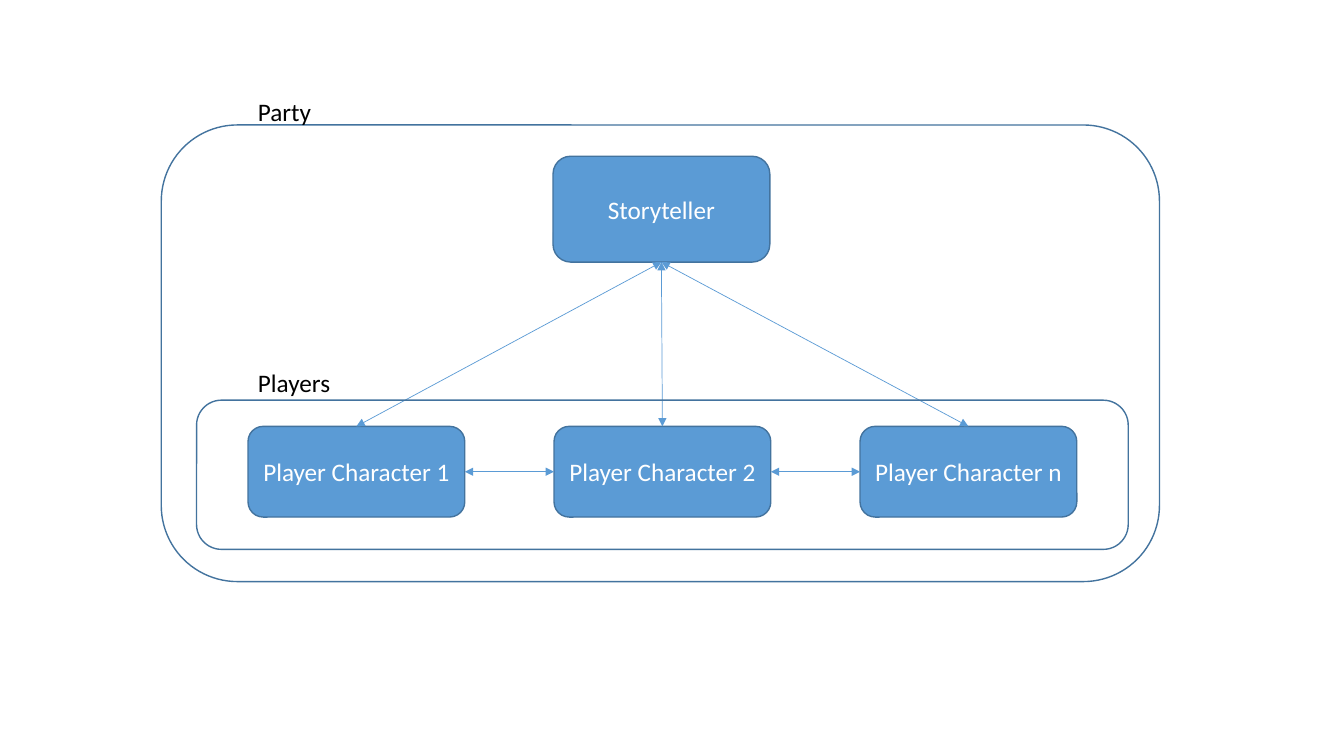
import pptx
import pptx.util
import pptx.dml.color
import pptx.enum.shapes
import pptx.enum.text
import pptx.oxml.ns
from lxml import etree

Inches = pptx.util.Inches
Pt = pptx.util.Pt
BLUE, EDGE, WHITE, BLACK = "5B9BD5", "43739E", "FFFFFF", "000000"


def rgb(value):
    """Turn a hex string into a colour."""
    return pptx.dml.color.RGBColor.from_string(value)


def add_run(p, text, color):
    """Add one run of 18 point Calibri."""
    r = p.add_run()
    r.text = text
    r.font.name = "Calibri"
    r.font.size = Pt(18)
    r.font.color.rgb = rgb(color)


def add_rounded(s, x, y, w, h, fill=None):
    """Add an outlined rounded rectangle, filled if a colour is given."""
    kind = pptx.enum.shapes.MSO_SHAPE.ROUNDED_RECTANGLE
    sp = s.shapes.add_shape(kind, Inches(x), Inches(y), Inches(w), Inches(h))
    sp.shadow.inherit = False
    sp.line.color.rgb = rgb(EDGE)
    sp.line.width = Pt(1)
    if fill:
        sp.fill.solid()
        sp.fill.fore_color.rgb = rgb(fill)
    else:
        sp.fill.background()
    return sp


def add_role(s, text, x, y, w, h):
    """Add a blue box with a centred role name."""
    sp = add_rounded(s, x, y, w, h, BLUE)
    tf = sp.text_frame
    tf.word_wrap = True
    tf.vertical_anchor = pptx.enum.text.MSO_ANCHOR.MIDDLE
    p = tf.paragraphs[0]
    p.alignment = pptx.enum.text.PP_ALIGN.CENTER
    add_run(p, text, WHITE)
    return sp


def add_link(s, start, start_site, end, end_site):
    """Join two boxes with a double-headed arrow."""
    kind = pptx.enum.shapes.MSO_CONNECTOR.STRAIGHT
    cxn = s.shapes.add_connector(kind, 0, 0, 0, 0)
    cxn.begin_connect(start, start_site)
    cxn.end_connect(end, end_site)
    cxn.line.color.rgb = rgb(BLUE)
    cxn.line.width = Pt(0.5)
    ln = cxn.line._get_or_add_ln()
    for tag in ("a:headEnd", "a:tailEnd"):
        etree.SubElement(ln, pptx.oxml.ns.qn(tag), type="triangle")
    etree.SubElement(cxn._element.spPr, pptx.oxml.ns.qn("a:effectLst"))


def add_group(s, label, x, y, w, h, label_x, label_y, label_w):
    """Add a group outline and its label, placed from the outline's corner."""
    add_rounded(s, x, y, w, h)
    tb = s.shapes.add_textbox(Inches(x + label_x), Inches(y + label_y),
                              Inches(label_w), Inches(0.4))
    tf = tb.text_frame
    tf.word_wrap = False
    tf.auto_size = pptx.enum.text.MSO_AUTO_SIZE.SHAPE_TO_FIT_TEXT
    add_run(tf.paragraphs[0], label, BLACK)


def add_roles(s, x, y, w):
    """Add the storyteller above an even row of players, with their links."""
    box_w, player_h = 2.15, 0.9
    step = (w - box_w) / 2
    teller = add_role(s, "Storyteller", x + step - 0.01, y, box_w, 1.05)
    players = [add_role(s, f"Player Character {n}", x + i * step, y + 2.68, box_w, player_h)
               for i, n in enumerate("12n")]
    for player in players:
        add_link(s, player, 0, teller, 2)
    for left, right in zip(players, players[1:]):
        add_link(s, left, 3, right, 1)


def main():
    """Build and save the party diagram."""
    prs = pptx.Presentation()
    prs.slide_width, prs.slide_height = Inches(13.33), Inches(7.5)
    s = prs.slides.add_slide(prs.slide_layouts[6])
    add_roles(s, 2.46, 1.55, 8.22)
    add_group(s, "Players", 1.95, 3.97, 9.24, 1.48, 0.51, -0.38, 0.92)
    add_group(s, "Party", 1.6, 1.24, 9.9, 4.53, 0.86, -0.33, 0.73)
    prs.save("out.pptx")


if __name__ == "__main__":
    main()
